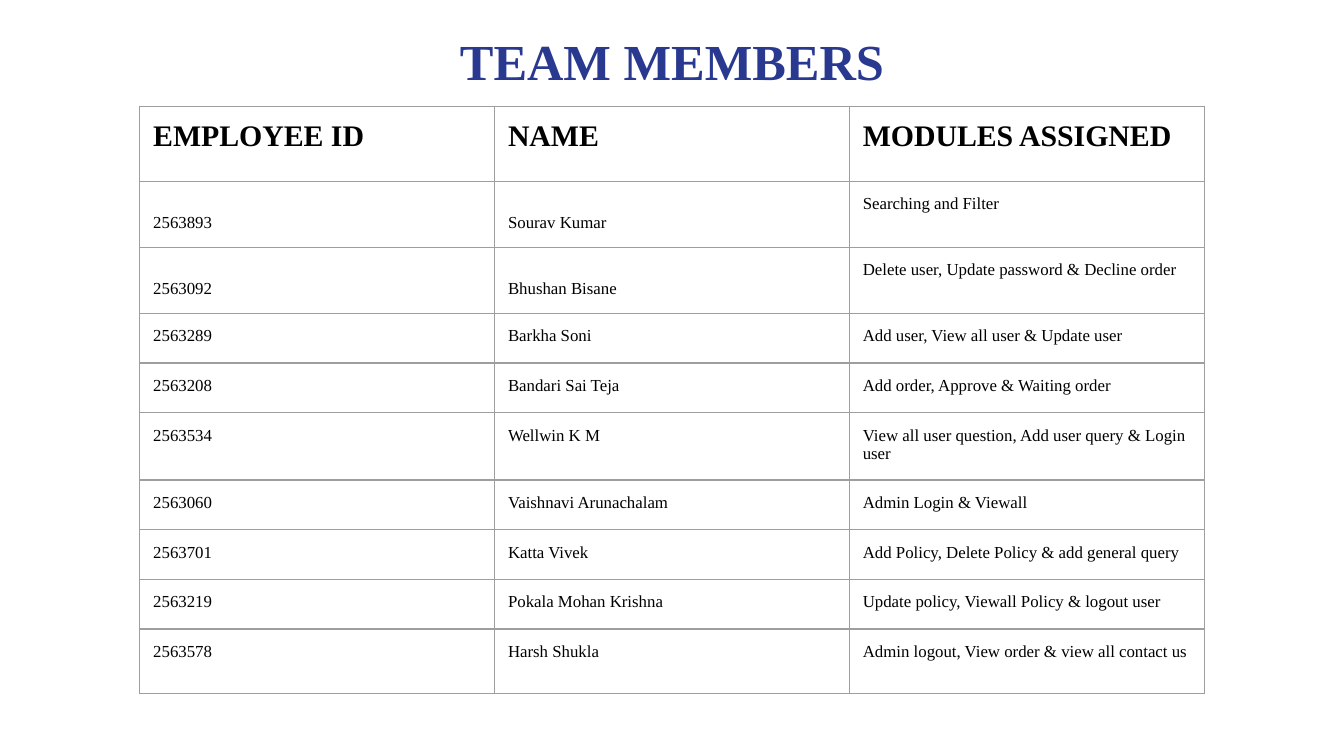
from lxml.etree import SubElement
from pptx import Presentation
from pptx.dml.color import RGBColor
from pptx.enum.text import MSO_ANCHOR as Anchor, PP_ALIGN as Align
from pptx.oxml.ns import qn
from pptx.util import Inches, Pt

TITLE = "TEAM MEMBERS"
HEADINGS = ("EMPLOYEE ID", "NAME", "MODULES ASSIGNED")
MEMBERS = [
    ("2563893", "Sourav Kumar", "Searching and Filter"),
    ("2563092", "Bhushan Bisane", "Delete user, Update password & Decline order"),
    ("2563289", "Barkha Soni", "Add user, View all user & Update user"),
    ("2563208", "Bandari Sai Teja", "Add order, Approve & Waiting order"),
    ("2563534", "Wellwin K M", "View all user question, Add user query & Login user"),
    ("2563060", "Vaishnavi Arunachalam", "Admin Login & Viewall"),
    ("2563701", "Katta Vivek", "Add Policy, Delete Policy & add general query"),
    ("2563219", "Pokala Mohan Krishna", "Update policy, Viewall Policy & logout user"),
    ("2563578", "Harsh Shukla", "Admin logout, View order & view all contact us"),
]
COLORS = {"title": "2A3990", "text": "000000", "grid": "9E9E9E", "page": "FFFFFF"}
FONT = "Times New Roman"

WIDTH = 10
HEIGHT = WIDTH * 9 / 16
TABLE_TOP, COLUMN = 0.79, 2.64
HEADER_ROW, MEMBER_ROW, LAST_ROW = 0.56, 0.37, 0.48
LOWERED_MEMBERS = {1, 2}  # ID and name sit one line lower
MARGIN, LINE = 0.1, 0.14


def add_text(para, text, size, color, bold=False):
    span = para.add_run()
    span.text = text
    span.font.name = FONT
    span.font.size = Pt(size)
    span.font.bold = bold
    span.font.color.rgb = RGBColor.from_string(COLORS[color])


def set_margins(target, top=MARGIN):
    target.margin_left = target.margin_right = target.margin_bottom = Inches(MARGIN)
    target.margin_top = Inches(top)


def style_cell(cell):
    """Give the cell a plain fill and a thin line on every side."""
    properties = cell._tc.get_or_add_tcPr()
    for side in ("a:lnL", "a:lnR", "a:lnT", "a:lnB"):
        line = SubElement(properties, qn(side), w=str(Pt(0.75)))
        fill = SubElement(line, qn("a:solidFill"))
        SubElement(fill, qn("a:srgbClr"), val=COLORS["grid"])
    cell.fill.solid()
    cell.fill.fore_color.rgb = RGBColor.from_string(COLORS["page"])


def add_title(page):
    left = 0.34
    box = page.shapes.add_textbox(Inches(left), Inches(0.11),
                                  Inches(WIDTH - 2 * left), Inches(0.68))
    frame = box.text_frame
    frame.word_wrap = True
    frame.vertical_anchor = Anchor.MIDDLE
    set_margins(frame)
    para = frame.paragraphs[0]
    para.alignment = Align.CENTER
    add_text(para, TITLE, 27, "title", bold=True)


def add_members(page):
    rows = [HEADINGS, *MEMBERS]
    heights = [HEADER_ROW] + [MEMBER_ROW] * (len(MEMBERS) - 1) + [LAST_ROW]
    width = COLUMN * len(HEADINGS)
    table = page.shapes.add_table(
        len(rows), len(HEADINGS), Inches((WIDTH - width) / 2), Inches(TABLE_TOP),
        Inches(width), Inches(sum(heights))).table
    table.first_row = table.horz_banding = False
    for column in table.columns:
        column.width = Inches(COLUMN)
    for r, (values, height) in enumerate(zip(rows, heights)):
        table.rows[r].height = Inches(height)
        for c, value in enumerate(values):
            cell = table.cell(r, c)
            lowered = r in LOWERED_MEMBERS and c < 2
            set_margins(cell, MARGIN + LINE * lowered)
            style_cell(cell)
            add_text(cell.text_frame.paragraphs[0], value,
                     9 if r else 16, "text", bold=r == 0)


deck = Presentation()
deck.slide_width, deck.slide_height = Inches(WIDTH), Inches(HEIGHT)
page = deck.slides.add_slide(deck.slide_layouts[6])
add_title(page)
add_members(page)
deck.save("out.pptx")
